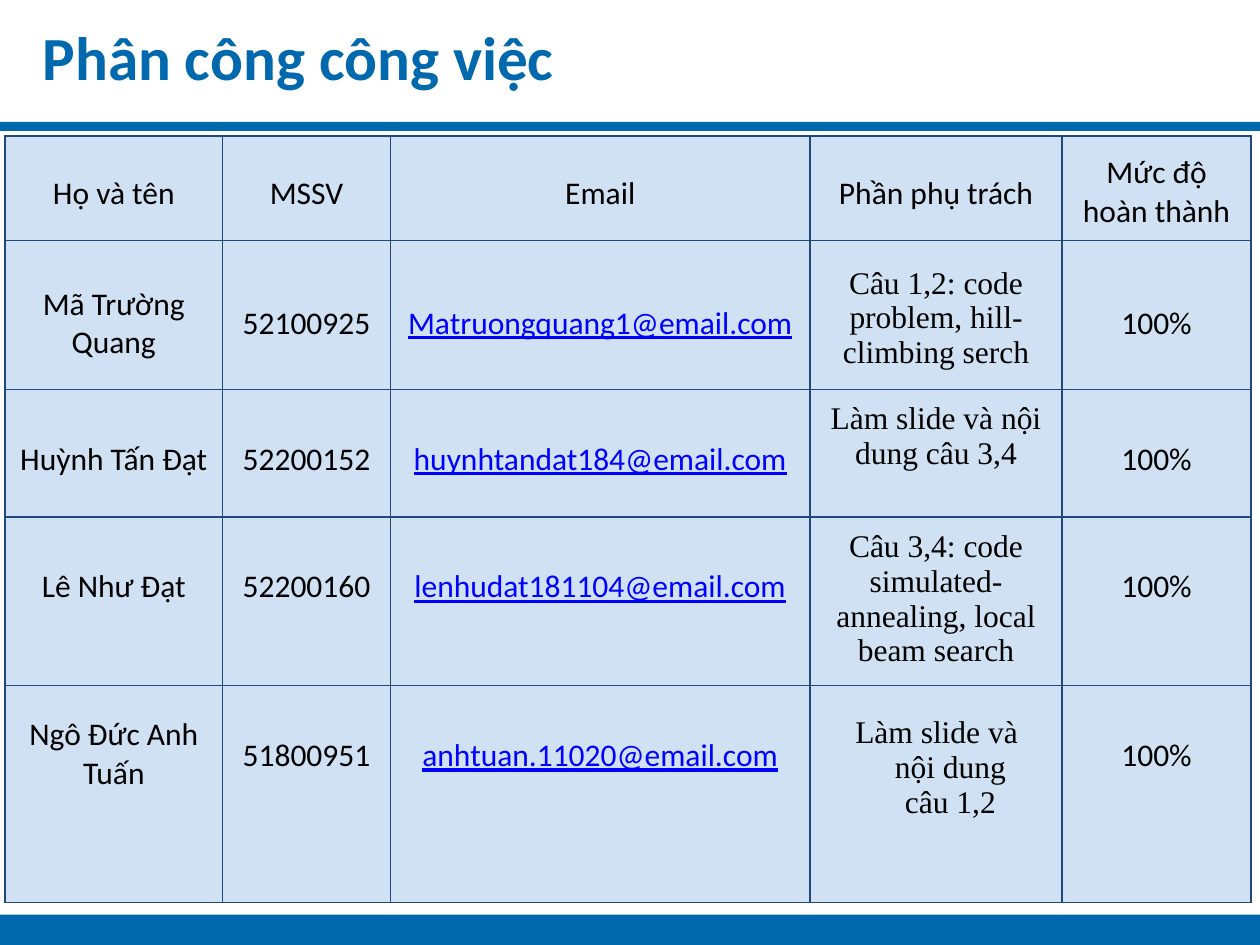
from lxml import etree
from pptx import Presentation
from pptx.dml.color import RGBColor
from pptx.enum.shapes import MSO_SHAPE
from pptx.enum.text import MSO_ANCHOR, PP_ALIGN
from pptx.oxml.ns import qn
from pptx.util import Cm, Pt

RECTANGLE = MSO_SHAPE.RECTANGLE
LEFT, CENTER = PP_ALIGN.LEFT, PP_ALIGN.CENTER
TOP = MSO_ANCHOR.TOP

COLORS = {
    "band": "0068AC",
    "cell": "CFE1F3",
    "border": "1F497C",
    "text": "000000",
    "email": "0000FF",
}
SANS, SERIF = "Calibri", "Times New Roman"
SLIDE_WIDTH, SLIDE_HEIGHT = 25.4, 19.05

HEADINGS = ["Họ và tên", "MSSV", "Email", "Phần phụ trách", "Mức độ hoàn thành"]
MEMBERS = [
    ["Mã Trường Quang", "52100925", "Matruongquang1@email.com",
     "Câu 1,2: code problem, hill-climbing serch", "100%"],
    ["Huỳnh Tấn Đạt", "52200152", "huynhtandat184@email.com",
     "Làm slide và nội dung câu 3,4", "100%"],
    ["Lê Như Đạt", "52200160", "lenhudat181104@email.com",
     "Câu 3,4: code simulated-annealing, local beam search", "100%"],
    ["Ngô Đức Anh Tuấn", "51800951", "anhtuan.11020@email.com",
     "Làm slide và nội dung câu 1,2", "100%"],
]
COLUMN_WIDTHS = [4.39, 3.38, 8.46, 5.08, 3.81]
ROW_HEIGHTS = [2.11, 3, 2.57, 3.4, 4.37]
TOP_MARGINS = [
    [0.78, 0.78, 0.78, 0.78, 0.36],
    [0.9, 1.28, 1.28, 0.51, 1.28],
    [1.03, 1.03, 1.03, 0.25, 1.03],
    [1.03, 1.03, 1.03, 0.25, 1.03],
    [0.61, 1.03, 1.03, 0.61, 1.03],
]
EMAIL_COLUMN, TASK_COLUMN, PROGRESS_COLUMN = 2, 3, 4


def write(frame, text, size=18, font=SANS, color="text", bold=False,
          underline=False, align=CENTER):
    frame.word_wrap = True
    paragraph = frame.paragraphs[0]
    paragraph.alignment = align
    run = paragraph.add_run()
    run.text = text
    run.font.size = Pt(size)
    run.font.name = font
    run.font.bold = bold
    run.font.underline = underline
    run.font.color.rgb = RGBColor.from_string(COLORS[color])
    return paragraph


def indent(paragraph, left, first, right):
    properties = paragraph._p.get_or_add_pPr()
    for name, length in (("marL", left), ("marR", right), ("indent", first)):
        properties.set(name, str(Cm(length)))


def add_band(slide, left, top, width, height):
    band = slide.shapes.add_shape(RECTANGLE, Cm(left), Cm(top), Cm(width), Cm(height))
    band.shadow.inherit = False
    band.fill.solid()
    band.fill.fore_color.rgb = RGBColor.from_string(COLORS["band"])
    band.line.fill.background()


def add_title(slide, left, top, width, height):
    frame = slide.shapes.add_textbox(Cm(left), Cm(top), Cm(width), Cm(height)).text_frame
    frame.margin_left = Cm(0.3)
    frame.margin_top = Cm(0.25)
    frame.margin_right = frame.margin_bottom = 0
    frame.vertical_anchor = TOP
    write(frame, "Phân công công việc", size=35, color="band", bold=True, align=LEFT)


def style_cell(cell, top, side):
    properties = cell._tc.get_or_add_tcPr()
    for edge in ("a:lnL", "a:lnR", "a:lnT", "a:lnB"):
        line = etree.SubElement(properties, qn(edge), w=str(Pt(1)))
        fill = etree.SubElement(line, qn("a:solidFill"))
        etree.SubElement(fill, qn("a:srgbClr"), val=COLORS["border"])
    cell.fill.solid()
    cell.fill.fore_color.rgb = RGBColor.from_string(COLORS["cell"])
    cell.margin_left = cell.margin_right = Cm(side)
    cell.margin_top = Cm(top)
    cell.margin_bottom = 0
    cell.vertical_anchor = TOP


def add_assignments(slide, left, top, width, height):
    rows = [HEADINGS] + MEMBERS
    table = slide.shapes.add_table(len(rows), len(HEADINGS), Cm(left), Cm(top),
                                   Cm(width), Cm(height)).table
    table.first_row = table.horz_banding = False
    for column, share in zip(table.columns, COLUMN_WIDTHS):
        column.width = Cm(share * width / sum(COLUMN_WIDTHS))
    for row, share in zip(table.rows, ROW_HEIGHTS):
        row.height = Cm(share * height / sum(ROW_HEIGHTS))
    member_formats = {
        EMAIL_COLUMN: {"color": "email", "underline": True},
        TASK_COLUMN: {"font": SERIF},
    }
    for r, texts in enumerate(rows):
        for c, text in enumerate(texts):
            cell = table.cell(r, c)
            style_cell(cell, TOP_MARGINS[r][c], 0.4 if c == PROGRESS_COLUMN else 0)
            text_format = member_formats.get(c, {}) if r else {}
            paragraph = write(cell.text_frame, text, **text_format)
            if r == len(MEMBERS) and c == TASK_COLUMN:
                indent(paragraph, 1.27, -0.56, 0.69)


def main():
    deck = Presentation()
    deck.slide_width, deck.slide_height = Cm(SLIDE_WIDTH), Cm(SLIDE_HEIGHT)
    slide = deck.slides.add_slide(deck.slide_layouts[6])
    add_band(slide, 0, 2.46, SLIDE_WIDTH, 0.18)
    add_band(slide, 0, 18.44, SLIDE_WIDTH, 0.61)
    add_title(slide, 0.56, 0.13, 17.35, 1.78)
    add_assignments(slide, 0.1, 2.74, sum(COLUMN_WIDTHS), sum(ROW_HEIGHTS))
    deck.save("out.pptx")


if __name__ == "__main__":
    main()
